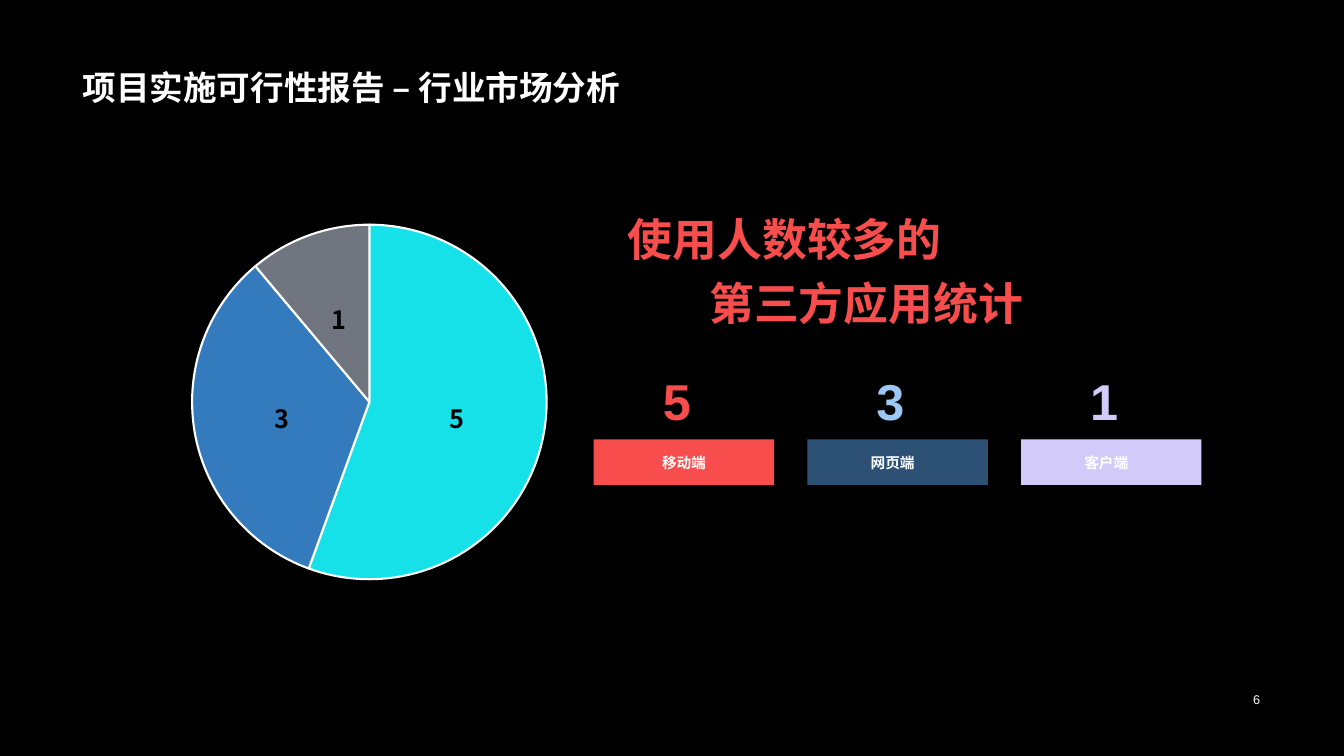
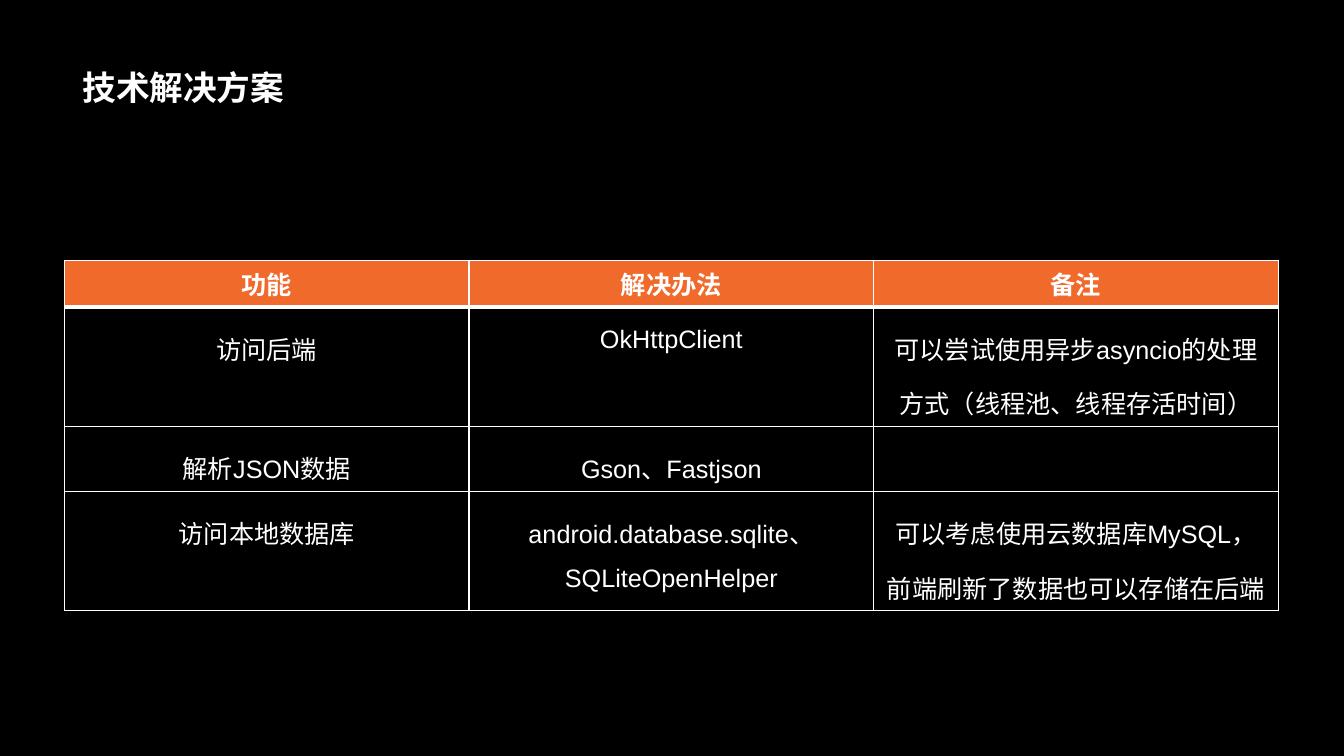
from lxml.etree import SubElement
from pptx import Presentation
from pptx.chart.data import CategoryChartData
from pptx.dml.color import RGBColor
from pptx.enum.chart import XL_CHART_TYPE, XL_LABEL_POSITION
from pptx.enum.shapes import MSO_SHAPE
from pptx.enum.text import MSO_ANCHOR, MSO_AUTO_SIZE, PP_ALIGN
from pptx.oxml import parse_xml
from pptx.oxml.ns import nsdecls, qn
from pptx.util import Emu, Pt

UNIT = Pt(10)
GRID_COLUMNS, GRID_ROWS = 96, 54

BLACK = RGBColor(0x00, 0x00, 0x00)
WHITE = RGBColor(0xFF, 0xFF, 0xFF)
RED = RGBColor(0xF8, 0x4D, 0x4D)
BLUE = RGBColor(0x5B, 0xA3, 0xEB)
PALE_BLUE = RGBColor(0x9D, 0xC8, 0xF3)
LILAC = RGBColor(0xD2, 0xCB, 0xF9)
ORANGE = RGBColor(0xF0, 0x6A, 0x2C)
SLICES = [RGBColor(0x16, 0xE1, 0xE9), RGBColor(0x34, 0x7B, 0xBE), RGBColor(0x70, 0x75, 0x7F)]

LATIN, CHINESE = "Arial", "Noto Sans CJK SC"

CARD_LEFT, CARD_PITCH, CARD_TOP = 42.41, 15.26, 31.39
CARDS = [
    ("移动端", 5, RED, RED, 100, 0),
    ("网页端", 3, BLUE, PALE_BLUE, 50, 0.72),
    ("客户端", 1, LILAC, LILAC, 100, 0.72),
]

HEADLINE = [("使用人数较多的", 2.88), ("第三方应用统计", 8.7)]

SOLUTIONS = [
    ("功能", "解决办法", "备注"),
    ("访问后端", "OkHttpClient", "可以尝试使用异步asyncio的处理方式（线程池、线程存活时间）"),
    ("解析JSON数据", "Gson、Fastjson", ""),
    ("访问本地数据库", "android.database.sqlite、SQLiteOpenHelper",
     "可以考虑使用云数据库MySQL，前端刷新了数据也可以存储在后端"),
]
SOLUTION_ROWS = [3.28, 8.5, 4.65, 8.5]


def grid(*steps):
    """Turn grid steps into lengths."""
    return [Emu(round(step * UNIT)) for step in steps]


def style(paragraph, size, color, bold=False, align=PP_ALIGN.LEFT, spacing=None):
    """Format a paragraph and its runs."""
    paragraph.alignment = align
    if spacing:
        paragraph.line_spacing = spacing
    for run in paragraph.runs:
        run.font.size, run.font.bold, run.font.name = Pt(size), bold, LATIN
        run.font.color.rgb = color
        east_asian = SubElement(run.font._element, qn("a:ea"))
        east_asian.set("typeface", CHINESE)


def add_text(slide, area, text, anchor, **look):
    """Add a wrapping text box and return its paragraphs."""
    frame = slide.shapes.add_textbox(*grid(*area)).text_frame
    frame.word_wrap = True
    frame.vertical_anchor = anchor
    frame.text = text
    for paragraph in frame.paragraphs:
        style(paragraph, **look)
    return frame.paragraphs


def prepare_layout(deck):
    """Give the shared layout its black ground and title place."""
    layout = deck.slide_layouts[5]
    fill = layout.background.fill
    fill.solid()
    fill.fore_color.rgb = BLACK
    title = layout.placeholders[0]
    title.left, title.top, title.width, title.height = grid(5.18, 0, 85.54, 8.06)
    title.text_frame.vertical_anchor = MSO_ANCHOR.BOTTOM
    title.text_frame.auto_size = MSO_AUTO_SIZE.NONE
    return layout


def add_titled_slide(deck, layout, title):
    """Add a slide with its title."""
    slide = deck.slides.add_slide(layout)
    slide.shapes.title.text_frame.text = title
    style(slide.shapes.title.text_frame.paragraphs[0], 24, WHITE, True, spacing=0.9)
    return slide


def fix_plot(chart, **shares):
    """Pin the plot to shares of the chart area."""
    plot_area = chart._chartSpace.chart.plotArea
    for previous in plot_area.findall(qn("c:layout")):
        plot_area.remove(previous)
    values = "".join(f'<c:{side} val="{share}"/>' for side, share in shares.items())
    plot_area.insert(0, parse_xml(
        f'<c:layout {nsdecls("c")}><c:manualLayout><c:layoutTarget val="inner"/>'
        f'<c:xMode val="edge"/><c:yMode val="edge"/>{values}</c:manualLayout></c:layout>'))


def add_pie(slide, area, values):
    """Add the pie chart of application counts."""
    data = CategoryChartData()
    data.categories = [str(number) for number in range(1, len(values) + 1)]
    data.add_series("Series 1", values)
    chart = slide.shapes.add_chart(XL_CHART_TYPE.PIE, *grid(*area), data).chart
    chart.has_legend = chart.has_title = False
    chart.font.size, chart.font.name = Pt(10), LATIN
    chart.font.color.rgb = WHITE
    fix_plot(chart, x=0.11, y=0.04, w=0.78, h=0.93)
    plot = chart.plots[0]
    plot.vary_by_categories = True
    for index, color in enumerate(SLICES):
        form = plot.series[0].points[index].format
        form.fill.solid()
        form.fill.fore_color.rgb = color
        form.line.color.rgb = WHITE
        form.line.width = Pt(1.5)
    plot.has_data_labels = True
    labels = plot.data_labels
    labels.show_value, labels.show_percentage = True, False
    labels.position = XL_LABEL_POSITION.CENTER
    labels.font.size, labels.font.bold, labels.font.name = Pt(18), True, CHINESE
    labels.font.color.rgb = BLACK


def add_card(slide, index, label, count, fill, count_color, opacity, right_inset):
    """Add a platform label with its count above."""
    left = CARD_LEFT + index * CARD_PITCH
    card = slide.shapes.add_shape(MSO_SHAPE.RECTANGLE, *grid(left, CARD_TOP, 12.89, 3.24))
    card.shadow.inherit = False
    card.line.fill.background()
    card.fill.solid()
    card.fill.fore_color.rgb = fill
    if opacity < 100:
        color = card._element.spPr.find(qn("a:solidFill"))[0]
        SubElement(color, qn("a:alpha")).set("val", str(opacity * 1000))
    frame = card.text_frame
    frame.margin_left, frame.margin_top, frame.margin_right, frame.margin_bottom = grid(
        0, 0, right_inset, 0)
    frame.vertical_anchor = MSO_ANCHOR.MIDDLE
    frame.text = label
    style(frame.paragraphs[0], 10.5, WHITE, True, PP_ALIGN.CENTER)
    add_text(slide, (left + 0.29, CARD_TOP - 5.54, 11.3, 5.54), str(count), MSO_ANCHOR.MIDDLE,
             size=36, color=count_color, bold=True, align=PP_ALIGN.CENTER)


def add_headline(slide):
    """Add the stepped two-line headline."""
    text = "\n".join(line for line, _ in HEADLINE)
    lines = add_text(slide, (41.26, 16.42, 44.35, 7.49), text, MSO_ANCHOR.BOTTOM,
                     size=32, color=RED, bold=True, spacing=1.2)
    for paragraph, (_, indent) in zip(lines, HEADLINE):
        paragraph._p.get_or_add_pPr().set("marL", str(grid(indent)[0]))


def add_border(cell, side, width):
    """Draw one white cell border."""
    cell._tc.get_or_add_tcPr().append(parse_xml(
        f'<a:ln{side} {nsdecls("a")} w="{Pt(width)}"><a:solidFill>'
        f'<a:srgbClr val="{WHITE}"/></a:solidFill></a:ln{side}>'))


def add_solutions(slide, left, top, width):
    """Add the table of technical solutions."""
    shape = slide.shapes.add_table(len(SOLUTIONS), len(SOLUTIONS[0]),
                                   *grid(left, top, width, sum(SOLUTION_ROWS)))
    table = shape.table
    table.horz_banding = False
    for row_index, (texts, height) in enumerate(zip(SOLUTIONS, SOLUTION_ROWS)):
        table.rows[row_index].height = grid(height)[0]
        header = row_index == 0
        borders = {"L": 1, "R": 1, "T": 3 if row_index == 1 else 1, "B": 3 if header else 1}
        for column, text in enumerate(texts):
            cell = table.cell(row_index, column)
            for side, weight in borders.items():
                add_border(cell, side, weight)
            cell.fill.solid()
            cell.fill.fore_color.rgb = ORANGE if header else BLACK
            cell.text_frame.text = text
            style(cell.text_frame.paragraphs[0], 18, WHITE, header, PP_ALIGN.CENTER,
                  None if header else 1.5)


def main():
    """Build and save both slides."""
    deck = Presentation()
    deck.slide_width, deck.slide_height = grid(GRID_COLUMNS, GRID_ROWS)
    layout = prepare_layout(deck)

    market = add_titled_slide(deck, layout, "项目实施可行性报告 – 行业市场分析")
    add_text(market, (70.63, 49.1, 20.09, 1.66), "6", MSO_ANCHOR.MIDDLE,
             size=9, color=WHITE, align=PP_ALIGN.RIGHT)
    add_pie(market, (10.15, 14.83, 32.47, 27.5), [card[1] for card in CARDS])
    for index, card in enumerate(CARDS):
        add_card(market, index, *card)
    add_headline(market)

    solutions = add_titled_slide(deck, layout, "技术解决方案")
    add_solutions(solutions, 4.61, 18.58, 86.69)

    deck.save("out.pptx")


if __name__ == "__main__":
    main()
